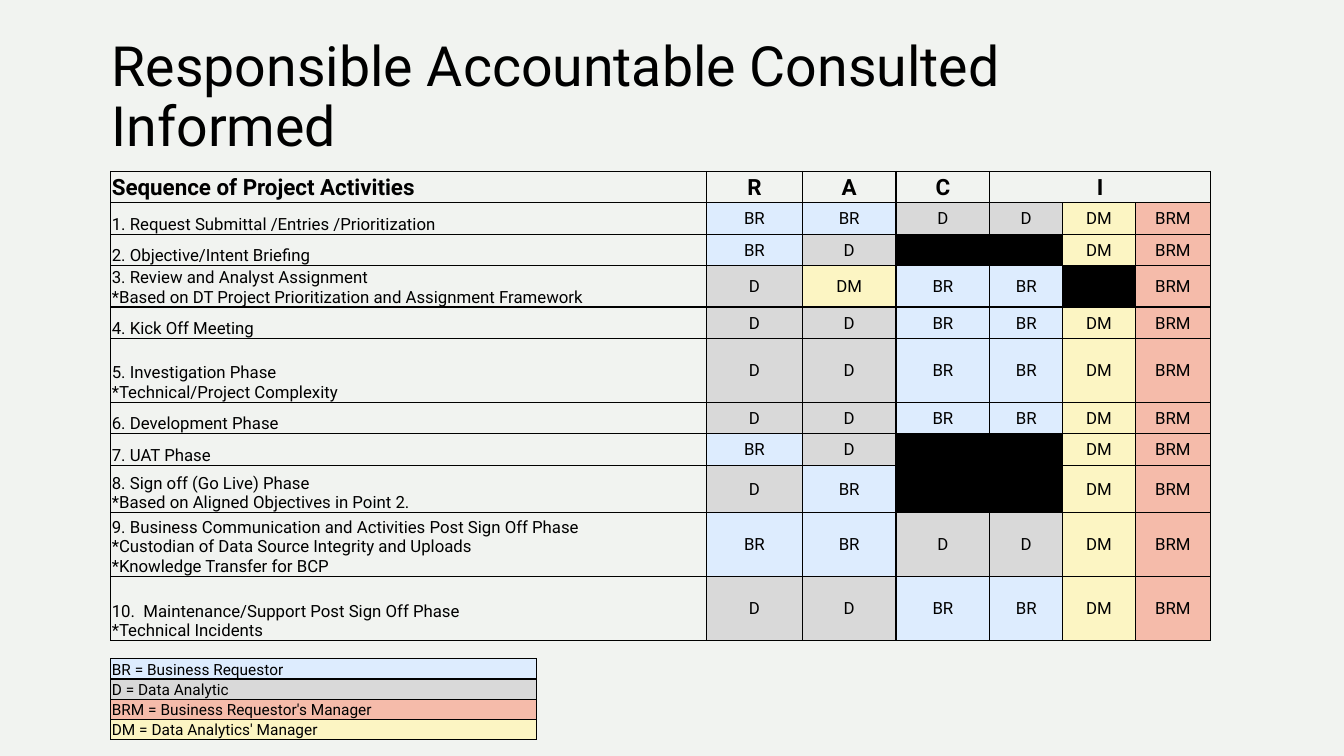
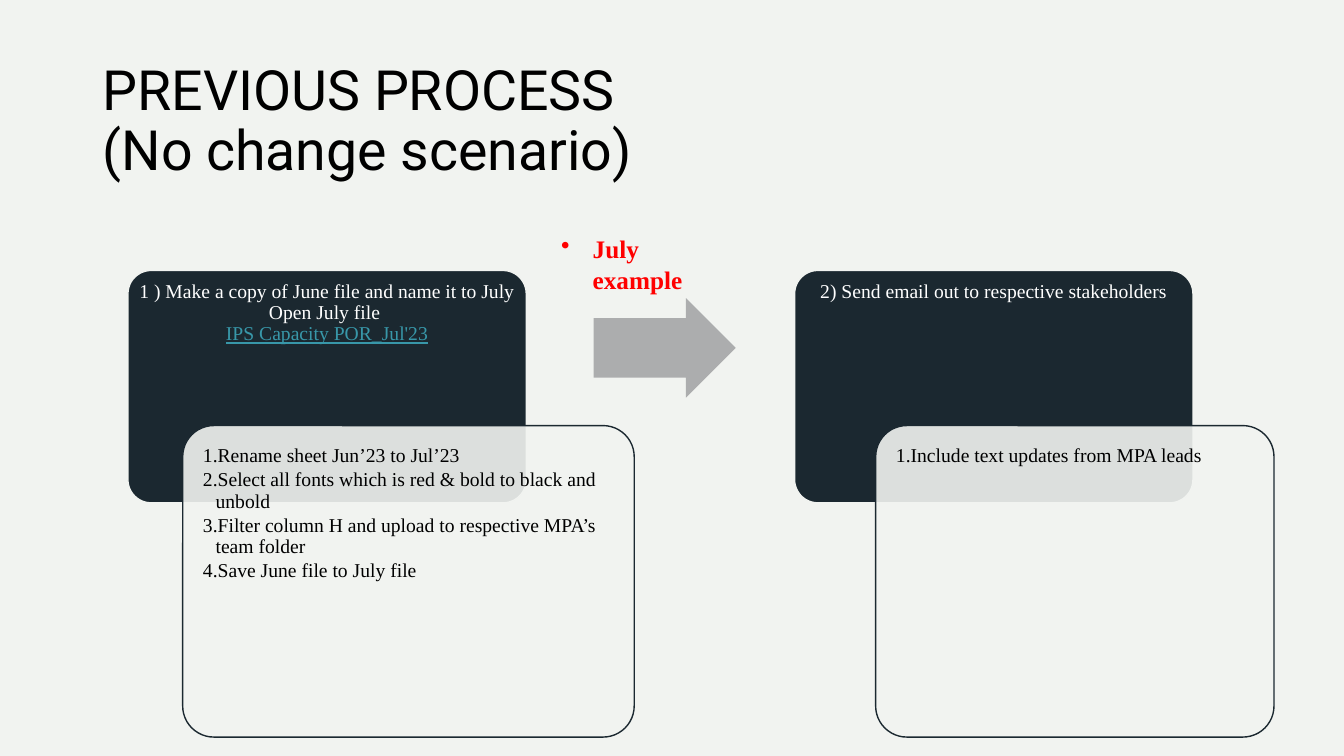
from lxml import etree
from pptx import Presentation
from pptx.dml.color import RGBColor
from pptx.enum import shapes, text
from pptx.oxml import ns
from pptx.util import Pt

PAPER, INK, BLACK, WHITE = "F1F3F0", "1B2830", "000000", "FFFFFF"
ARROW, LINK, RED = "ACADAE", "3897A9", "FF0000"
ROLE_FILLS = {"BR": "DDECFE", "D": "D9D9D9", "BRM": "F5BBAA", "DM": "FCF5C3", "-": BLACK}
SANS, SERIF = "Roboto", "Times New Roman"
LEFT, CENTER = text.PP_ALIGN.LEFT, text.PP_ALIGN.CENTER
TOP, MIDDLE, BOTTOM = text.MSO_ANCHOR.TOP, text.MSO_ANCHOR.MIDDLE, text.MSO_ANCHOR.BOTTOM


def rgb(code):
    return RGBColor.from_string(code)


def write(frame, lines, font, size, colour=BLACK, bold=False, align=LEFT,
          spacing=1.0, after=0, bullet=None, indent=0):
    """Write each line as a paragraph; bullet is an (XML tag, attribute, value) triple."""
    for number, line in enumerate(lines):
        para = frame.paragraphs[0] if number == 0 else frame.add_paragraph()
        para.alignment, para.line_spacing, para.space_after = align, spacing, Pt(after)
        if bullet:
            tag, attribute, value = bullet
            props = para._p.get_or_add_pPr()
            props.set("marL", str(Pt(indent)))
            props.set("indent", str(-Pt(indent)))
            etree.SubElement(props, ns.qn(tag)).set(attribute, value)
        span = para.add_run()
        span.text = line
        span.font.name, span.font.size, span.font.bold = font, Pt(size), bold
        span.font.color.rgb = rgb(colour)
    return para


deck = Presentation()
deck.slide_width, deck.slide_height = Pt(960), Pt(540)
background = deck.slide_master.background.fill
background.solid()
background.fore_color.rgb = rgb(PAPER)

# Pages and their titles
titles = [
    (72.7, 28.8, 815, ["Responsible Accountable Consulted Informed"]),
    (66.2, 46.1, 828, ["PREVIOUS PROCESS", "(No change scenario)"]),
]
pages = []
for left, top, width, lines in titles:
    page = deck.slides.add_slide(deck.slide_layouts[6])
    box = page.shapes.add_textbox(Pt(left), Pt(top), Pt(width), Pt(88))
    box.text_frame.word_wrap = True
    box.text_frame.vertical_anchor = BOTTOM
    write(box.text_frame, lines, SANS, 39.6, spacing=0.9)
    pages.append(page)
raci_page, process_page = pages

# RACI rows: height, activity lines, roles for R, A, C and the three I columns
activities = [
    (22.5, ["1. Request Submittal /Entries /Prioritization"], "BR BR D D DM BRM"),
    (22.5, ["2. Objective/Intent Briefing"], "BR D - - DM BRM"),
    (28.5, ["3. Review and Analyst Assignment",
            "*Based on DT Project Prioritization and Assignment Framework"], "D DM BR BR - BRM"),
    (22.5, ["4. Kick Off Meeting"], "D D BR BR DM BRM"),
    (45.5, ["5. Investigation Phase", "*Technical/Project Complexity"], "D D BR BR DM BRM"),
    (22.5, ["6. Development Phase"], "D D BR BR DM BRM"),
    (22.5, ["7. UAT Phase"], "BR D - - DM BRM"),
    (34, ["8. Sign off (Go Live) Phase",
          "*Based on Aligned Objectives in Point 2."], "D BR - - DM BRM"),
    (45.5, ["9. Business Communication and Activities Post Sign Off Phase",
            "*Custodian of Data Source Integrity and Uploads",
            "*Knowledge Transfer for BCP"], "BR BR D D DM BRM"),
    (46, ["10.  Maintenance/Support Post Sign Off Phase",
          "*Technical Incidents"], "D D BR BR DM BRM"),
]
legend = [
    ("BR", "Business Requestor"),
    ("D", "Data Analytic"),
    ("BRM", "Business Requestor's Manager"),
    ("DM", "Data Analytics' Manager"),
]

# Every cell becomes: lines, fill, size, bold, alignment, anchor
header = [(["Sequence of Project Activities"], None, 16, True, LEFT, MIDDLE)]
header += [([letter] if letter else [], None, 16, True, CENTER, MIDDLE)
           for letter in ("R", "A", "C", "I", "", "")]
raci_cells = [header]
for height, lines, roles in activities:
    row = [(lines, None, 12, False, LEFT, BOTTOM)]
    for role in roles.split():
        row.append(([] if role == "-" else [role], ROLE_FILLS[role], 12, False, CENTER, MIDDLE))
    raci_cells.append(row)
legend_cells = [[([f"{role} = {meaning}"], ROLE_FILLS[role], 11, False, LEFT, BOTTOM)]
                for role, meaning in legend]

# RACI table and legend table
tables = [
    (122.4, [425.5, 68.4, 67, 67, 52, 52, 53.5],
     [22.5] + [activity[0] for activity in activities], raci_cells),
    (470.6, [304], [14.4] * len(legend), legend_cells),
]
for top, widths, heights, rows in tables:
    table = raci_page.shapes.add_table(len(heights), len(widths), Pt(79.2), Pt(top),
                                       Pt(sum(widths)), Pt(sum(heights))).table
    table.first_row = table.horz_banding = False
    for column, width in zip(table.columns, widths):
        column.width = Pt(width)
    for row_number, (height, row) in enumerate(zip(heights, rows)):
        table.rows[row_number].height = Pt(height)
        for column_number, (lines, fill, size, bold, align, anchor) in enumerate(row):
            cell = table.cell(row_number, column_number)
            cell.margin_left = cell.margin_right = cell.margin_top = Pt(0.7)
            cell.margin_bottom = Pt(0)
            cell.vertical_anchor = anchor
            for side in ("a:lnL", "a:lnR", "a:lnT", "a:lnB"):
                border = etree.SubElement(cell._tc.get_or_add_tcPr(), ns.qn(side), w=str(Pt(1)))
                paint = etree.SubElement(border, ns.qn("a:solidFill"))
                etree.SubElement(paint, ns.qn("a:srgbClr"), val=BLACK)
            if fill:
                cell.fill.solid()
                cell.fill.fore_color.rgb = rgb(fill)
            else:
                cell.fill.background()
            if lines:
                write(cell.text_frame, lines, SANS, size, bold=bold, align=align)
    if rows is raci_cells:
        table.cell(0, 4).merge(table.cell(0, 6))

# Process steps: dark heading card with a translucent detail card over it
steps = [
    (91.4, 130.5, 322.5, "1 ) Make a copy of June file and name it to July Open July file ",
     "IPS Capacity POR_Jul'23",
     ["Rename sheet Jun’23 to Jul’23",
      "Select all fonts which is red & bold to black and unbold",
      "Filter column H and upload to respective MPA’s team folder",
      "Save June file to July file"]),
    (567.6, 625.5, 284.5, "2) Send email out to respective stakeholders", None,
     ["Include text updates from MPA leads"]),
]
for card_left, detail_left, detail_width, heading, link, details in steps:
    cards = []
    for left, top, width, height, fill, line, margin in (
            (card_left, 193.2, 284.5, 166, INK, PAPER, 3),
            (detail_left, 304, detail_width, 222.5, PAPER, INK, 8)):
        card = process_page.shapes.add_shape(shapes.MSO_SHAPE.ROUNDED_RECTANGLE,
                                             Pt(left), Pt(top), Pt(width), Pt(height))
        card.adjustments[0] = 0.1
        card.shadow.inherit = False
        card.fill.solid()
        card.fill.fore_color.rgb = rgb(fill)
        card.line.color.rgb = rgb(line)
        card.line.width = Pt(1)
        frame = card.text_frame
        frame.word_wrap = True
        frame.vertical_anchor = TOP
        frame.margin_left = frame.margin_right = frame.margin_top = Pt(margin)
        cards.append(card)
    heading_card, detail_card = cards

    para = write(heading_card.text_frame, [heading], SERIF, 14, WHITE, align=CENTER, spacing=0.9)
    if link:
        para.add_line_break()
        span = para.add_run()
        span.text = link
        span.font.name, span.font.size, span.font.underline = SERIF, Pt(14), True
        span.font.color.rgb = rgb(LINK)

    solid = detail_card.fill._xPr.find(ns.qn("a:solidFill"))
    etree.SubElement(solid[0], ns.qn("a:alpha"), val="90000")
    write(detail_card.text_frame, details, SERIF, 14, spacing=0.9, after=2,
          bullet=("a:buAutoNum", "type", "arabicPeriod"), indent=9)

# Arrow between the steps
arrow = process_page.shapes.add_shape(shapes.MSO_SHAPE.RIGHT_ARROW,
                                      Pt(424), Pt(213), Pt(101.5), Pt(71))
arrow.adjustments[0], arrow.adjustments[1] = 0.6, 0.5
arrow.shadow.inherit = False
arrow.fill.solid()
arrow.fill.fore_color.rgb = rgb(ARROW)
arrow.line.fill.background()

# Example label
box = process_page.shapes.add_textbox(Pt(393.8), Pt(163.4), Pt(131.8), Pt(29))
box.text_frame.word_wrap = True
write(box.text_frame, ["July example"], SERIF, 18, RED, bold=True,
      bullet=("a:buChar", "char", "•"), indent=22.5)

deck.save("out.pptx")
